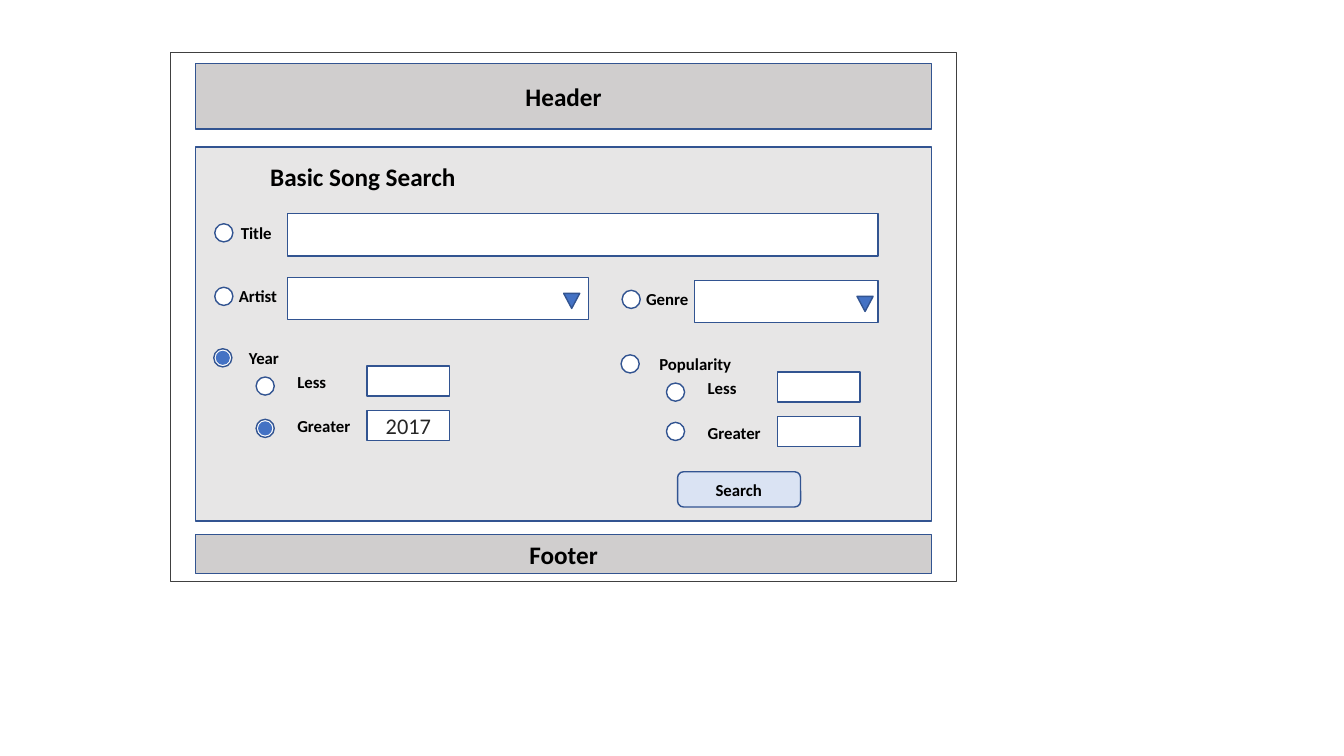
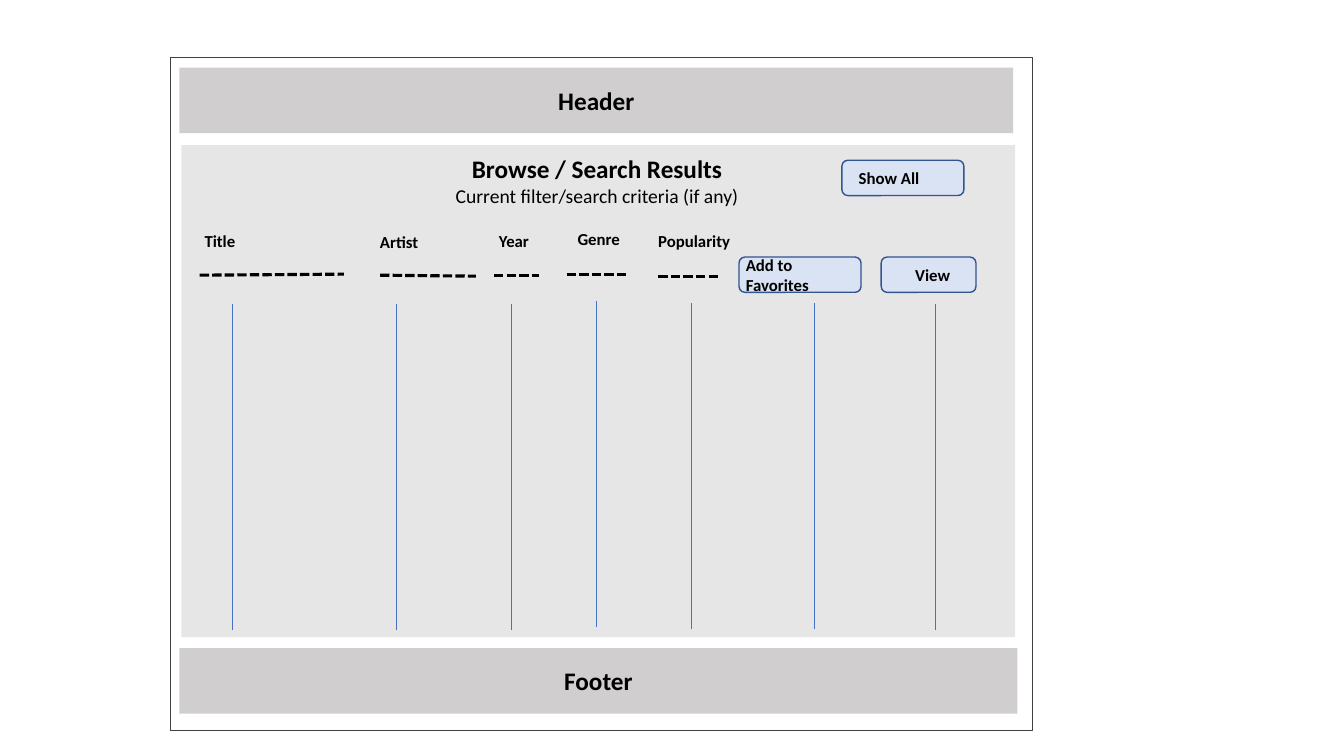
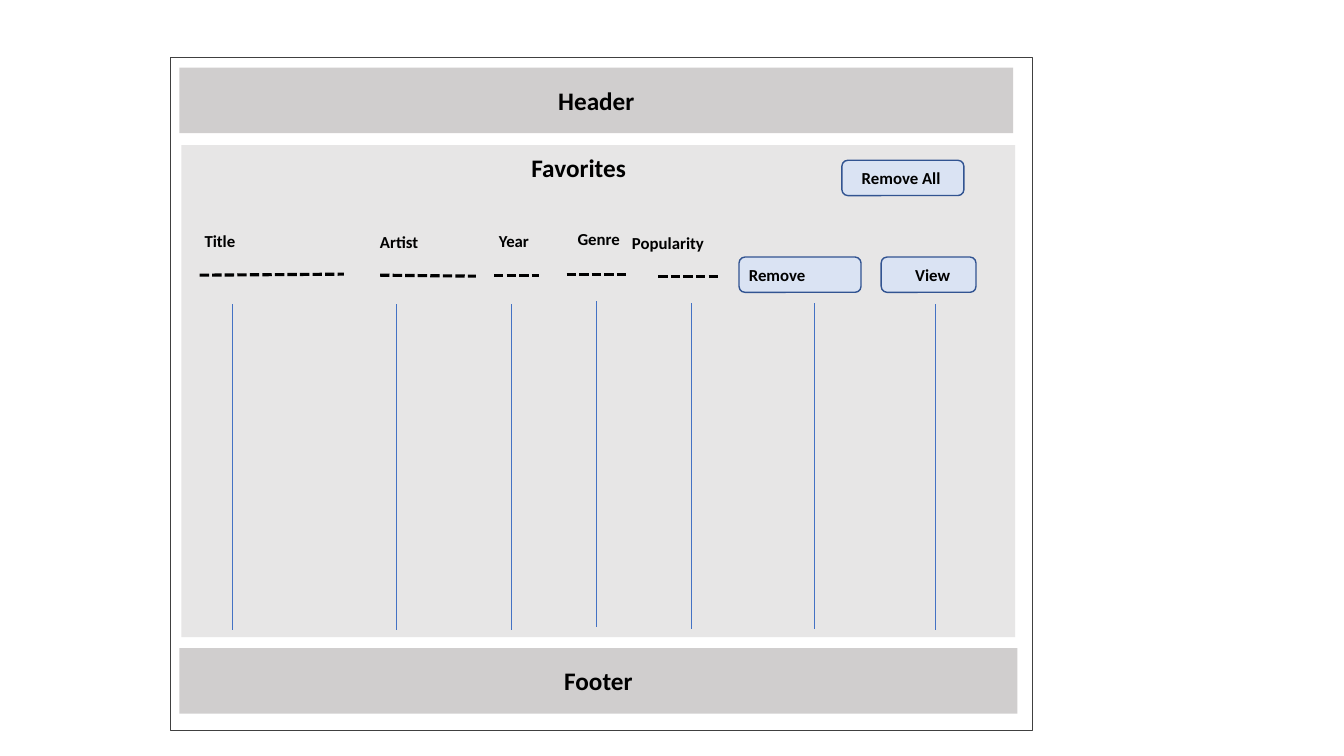
from dataclasses import dataclass

from lxml.etree import SubElement
from pptx import Presentation
from pptx.dml.color import RGBColor
from pptx.enum.dml import MSO_LINE
from pptx.enum.shapes import MSO_CONNECTOR, MSO_SHAPE
from pptx.enum.text import MSO_ANCHOR, MSO_AUTO_SIZE, PP_ALIGN
from pptx.oxml.ns import qn
from pptx.util import Emu, Inches, Pt


@dataclass(frozen=True)
class Theme:
    font: str = "Calibri"
    heading: float = 18
    entry: float = 16
    note: float = 14
    label: float = 12
    ink: str = "000000"
    entry_ink: str = "262626"
    frame: str = "404040"
    band: str = "D0CECE"
    panel: str = "E7E6E6"
    white: str = "FFFFFF"
    button: str = "DAE3F3"
    accent: str = "4472C4"
    outline: str = "325491"


THEME = Theme()
TITLE_ONLY = 5


def cells(count):
    """Length of a number of grid cells; ten cells make an inch."""
    return Emu(round(count * Inches(0.1)))


@dataclass(frozen=True)
class Box:
    """A region of the slide, measured in grid cells."""
    x: float
    y: float
    w: float
    h: float

    def inside(self, dx, dy, w, h):
        return Box(self.x + dx, self.y + dy, w, h)

    def lengths(self):
        return [cells(value) for value in (self.x, self.y, self.w, self.h)]


# Basic parts
def write(frame, text, size, bold=True, color=THEME.ink, align=PP_ALIGN.LEFT):
    frame.text = text
    paragraph = frame.paragraphs[0]
    paragraph.alignment = align
    font = paragraph.font
    font.name, font.size, font.bold = THEME.font, Pt(size), bold
    font.color.rgb = RGBColor.from_string(color)


def draw(slide, preset, box, fill=None, line=None):
    part = slide.shapes.add_shape(preset, *box.lengths())
    part.shadow.inherit = False
    if fill:
        part.fill.solid()
        part.fill.fore_color.rgb = RGBColor.from_string(fill)
    else:
        part.fill.background()
    if line:
        part.line.color.rgb = RGBColor.from_string(line)
        part.line.width = Pt(1)
    else:
        part.line.fill.background()
    return part


def label(slide, box, text, size=THEME.label, bold=True):
    frame = slide.shapes.add_textbox(*box.lengths()).text_frame
    frame.word_wrap = True
    write(frame, text, size, bold)


def line(slide, start, end, color, width, dash=None):
    connector = slide.shapes.add_connector(
        MSO_CONNECTOR.STRAIGHT, *[cells(value) for value in (*start, *end)])
    connector.line.color.rgb = RGBColor.from_string(color)
    connector.line.width = Pt(width)
    if dash:
        connector.line.dash_style = dash
    SubElement(connector.element.spPr, qn("a:effectLst"))


def band(slide, box, text, outline):
    frame = draw(slide, MSO_SHAPE.RECTANGLE, box, THEME.band, outline).text_frame
    frame.vertical_anchor = MSO_ANCHOR.MIDDLE
    write(frame, text, THEME.heading, align=PP_ALIGN.CENTER)


def title(slide, box, text):
    heading = slide.shapes.title
    heading.left, heading.top, heading.width, heading.height = box.lengths()
    frame = heading.text_frame
    write(frame, text, THEME.heading)
    frame.vertical_anchor = MSO_ANCHOR.TOP
    frame.word_wrap = False
    frame.auto_size = MSO_AUTO_SIZE.SHAPE_TO_FIT_TEXT
    # Bring the heading in front of the panel
    heading.element.getparent().append(heading.element)


# Form controls
def button(slide, box, text, inset):
    frame = draw(slide, MSO_SHAPE.ROUNDED_RECTANGLE, box,
                 THEME.button, THEME.outline).text_frame
    frame.margin_left, frame.margin_right = cells(inset), 0
    frame.vertical_anchor = MSO_ANCHOR.MIDDLE
    write(frame, text, THEME.label)


def radio(slide, box, dx, dy, chosen=False):
    ring = box.inside(dx, dy, 1.8, 1.8)
    draw(slide, MSO_SHAPE.OVAL, ring, THEME.white, THEME.outline)
    if chosen:
        draw(slide, MSO_SHAPE.OVAL, ring.inside(0.2, 0.2, 1.4, 1.4), THEME.accent)


def entry(slide, box, text=""):
    field = draw(slide, MSO_SHAPE.RECTANGLE, box, THEME.white, THEME.outline)
    if text:
        field.text_frame.vertical_anchor = MSO_ANCHOR.MIDDLE
        write(field.text_frame, text, THEME.entry, False,
              THEME.entry_ink, PP_ALIGN.CENTER)


def search_field(slide, box, name, label_left=1.4, arrow_inset=None):
    """Radio button, label and entry; with an arrow it is a drop-down list."""
    radio(slide, box, 0, 1)
    label(slide, box.inside(label_left, 0.4, 7.7, 3), name)
    entry(slide, box.inside(7.2, 0, box.w - 7.2, box.h))
    if arrow_inset:
        arrow = draw(slide, MSO_SHAPE.ISOSCELES_TRIANGLE,
                     box.inside(box.w - arrow_inset, 1.6, 1.6, 1.5),
                     THEME.accent, THEME.outline)
        arrow.rotation = 180


def range_field(slide, box, name, radio_left, greater_radio, value=""):
    """A criterion with a lower and an upper limit."""
    chosen = bool(value)
    radio(slide, box, radio_left, 0.6, chosen)
    label(slide, box.inside(0, 0, 15.2, 3), name)
    limits = (("Less", 3.4, ""), ("Greater", greater_radio, value))
    for row, (limit, radio_top, text) in enumerate(limits):
        top = 2.3 + 4.4 * row
        radio(slide, box, 1.7, radio_top, bool(text))
        label(slide, box.inside(4.8, top + 0.1, 10.8, 3), limit)
        entry(slide, box.inside(12.7, top, 8.2, 3), text)


# Page regions
def page(deck, frame, header, footer, panel, outline=None):
    """Draw the frame, the two bands and the panel; return slide and panel."""
    slide = deck.slides.add_slide(deck.slide_layouts[TITLE_ONLY])
    draw(slide, MSO_SHAPE.RECTANGLE, frame, line=THEME.frame)
    band(slide, frame.inside(*header), "Header", outline)
    band(slide, frame.inside(*footer), "Footer", outline)
    content = frame.inside(*panel)
    draw(slide, MSO_SHAPE.RECTANGLE, content, THEME.panel, outline)
    return slide, content


def search_page(deck):
    slide, panel = page(deck, Box(16.9, 5.2, 78, 52.5),
                        header=(2.5, 1.1, 73, 6.5), footer=(2.5, 47.8, 73, 3.9),
                        panel=(2.5, 9.4, 73, 37.1), outline=THEME.outline)
    title(slide, panel.inside(6.4, 0.9, 20.5, 4), "Basic Song Search")
    search_field(slide, panel.inside(1.9, 6.6, 65.8, 4.2), "Title", 1.6)
    search_field(slide, panel.inside(1.9, 12.9, 37.1, 4.2), "Artist",
                 arrow_inset=2.5)
    search_field(slide, panel.inside(42.3, 13.2, 25.4, 4.2), "Genre",
                 arrow_inset=2.1)
    range_field(slide, panel.inside(4.3, 19.4, 20.9, 9.7), "Year",
                -2.5, 7.6, "2017")
    range_field(slide, panel.inside(45, 20, 20.9, 9.7), "Popularity", -2.8, 7.3)
    button(slide, panel.inside(47.8, 32.2, 12.2, 3.5), "Search", 3.6)


# Name, label (left, top, width), dash (start, end) and rule (left, top)
SONG_COLUMNS = (
    ("Title", (1.3, 8, 10.5), ((1.8, 12.9), (16.1, 12.8)), (5, 15.8)),
    ("Artist", (18.7, 8.1, 10.5), ((19.7, 12.9), (29.2, 13)), (21.3, 15.8)),
    ("Year", (30.5, 8, 6.6), ((31, 12.9), (35.5, 12.9)), (32.7, 15.8)),
    ("Genre", (38.3, 7.8, 6.6), ((38.2, 12.8), (44.3, 12.8)), (41.1, 15.5)),
    ("Popularity", (46.3, 8, 9.6), ((47.3, 13), (53.3, 13)), (50.6, 15.7)),
)
ACTION_RULES = ((62.8, 15.7), (74.8, 15.8))
RULE_LENGTH = 32.3


def song_table(slide, panel, row_action, moved_labels):
    def point(x, y):
        return panel.x + x, panel.y + y

    # Column labels and sample entries
    for name, place, dash, _ in SONG_COLUMNS:
        left, top, width = moved_labels.get(name, place)
        label(slide, panel.inside(left, top, width, 3), name)
        line(slide, point(*dash[0]), point(*dash[1]), THEME.ink, 2.25,
             MSO_LINE.SQUARE_DOT)

    # Actions on a song
    button(slide, panel.inside(55.3, 11.1, 12.1, 3.5), *row_action)
    button(slide, panel.inside(69.4, 11.1, 9.4, 3.5), "View", 3.2)

    # Rules down the columns
    for x, y in [column[3] for column in SONG_COLUMNS] + list(ACTION_RULES):
        line(slide, point(x, y), point(x, y + RULE_LENGTH), THEME.accent, 0.5)


def list_page(deck, heading, heading_box, list_action, row_action,
              criteria="", moved_labels=None):
    slide, panel = page(deck, Box(16.9, 5.7, 85.5, 66.8),
                        header=(0.9, 1, 82.7, 6.5), footer=(0.9, 58.6, 83.1, 6.5),
                        panel=(1.1, 8.7, 82.7, 48.8))
    title(slide, panel.inside(*heading_box), heading)
    if criteria:
        label(slide, panel.inside(26.2, 3.4, 33.3, 3.4), criteria,
              THEME.note, False)
    button(slide, panel.inside(65.5, 1.5, 12.1, 3.5), *list_action)
    song_table(slide, panel, row_action, moved_labels or {})


deck = Presentation()
deck.slide_width, deck.slide_height = Inches(13.33), Inches(7.5)
search_page(deck)
list_page(deck, "Browse / Search Results", (27.8, 0.3, 27, 4),
          ("Show All", 1.5), ("Add to Favorites", 0.5),
          criteria="Current filter/search criteria (if any)")
list_page(deck, "Favorites", (33.7, 0.2, 11.5, 4),
          ("Remove All", 1.8), ("Remove", 0.8),
          moved_labels={"Popularity": (43.7, 8.2, 9.6)})
deck.save("out.pptx")
